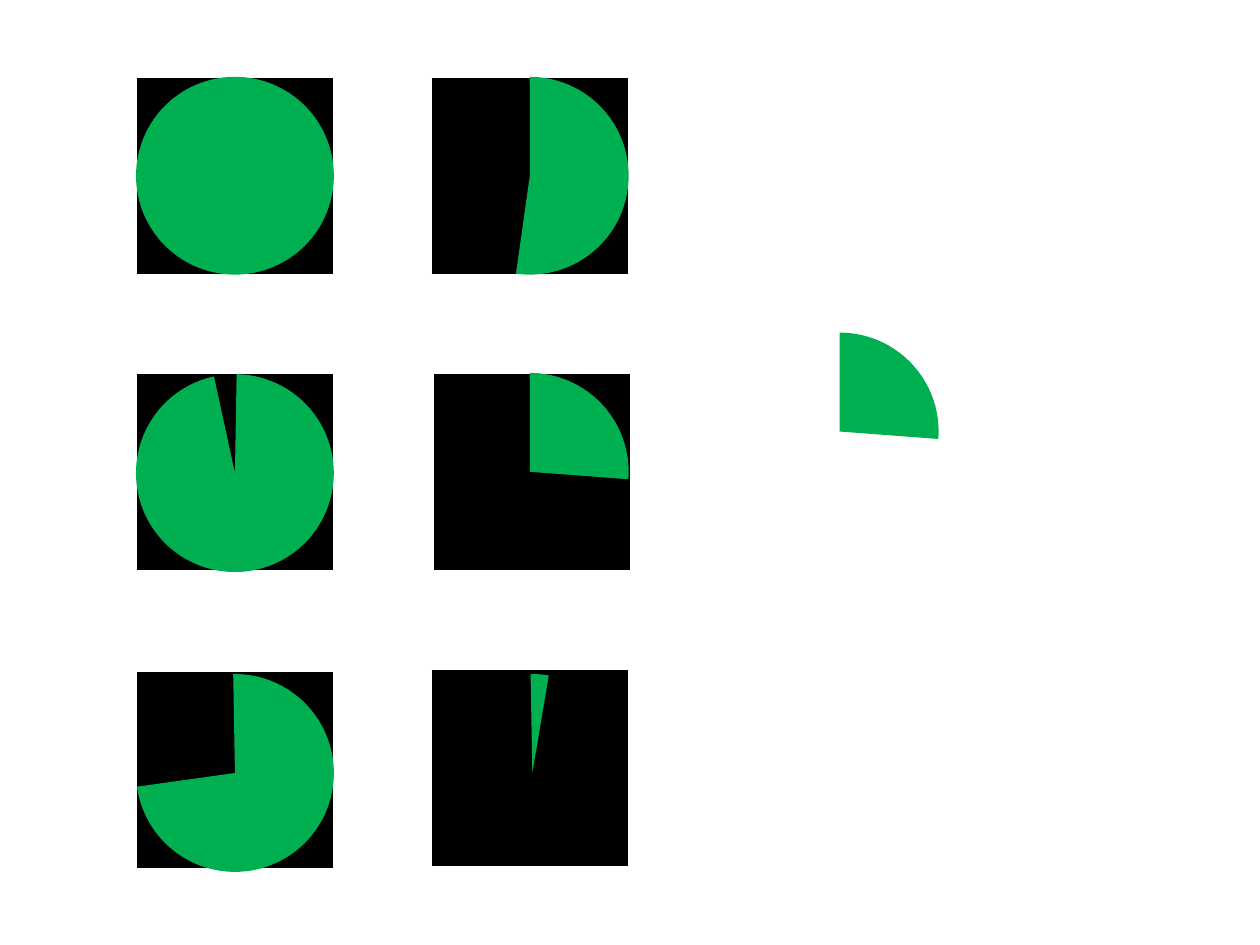
from dataclasses import dataclass

import pptx
import pptx.dml.color
import pptx.enum.shapes
import pptx.util

Inches = pptx.util.Inches
SHAPE = pptx.enum.shapes.MSO_SHAPE


@dataclass(frozen=True)
class Theme:
    tile: str = "000000"
    outline: str = "FFFFFF"
    wedge: str = "00B050"
    outline_width: float = 1
    size: float = 1.57


THEME = Theme()

# tile corner, dial corner, start and end angle
GROUPED_DIALS = [
    ((1.08, 0.61), (1.08, 0.61), None),
    ((1.08, 2.96), (1.08, 2.97), (271, 257.8)),
    ((1.08, 5.33), (1.08, 5.35), (269, 172)),
]
LOOSE_DIALS = [
    ((3.42, 0.61), (3.42, 0.61), (270, 98)),
    ((3.44, 2.96), (3.42, 2.96), (270, 4.3)),
    ((3.42, 5.31), (3.44, 5.35), (269, 279.6)),
]
LONE_QUARTER = ((5.88, 2.64), (270, 4.3))


def add_square_shape(shapes, kind, corner, fill):
    """Add a shape of the common width and height, without outline."""
    x, y = corner
    size = Inches(THEME.size)
    sp = shapes.add_shape(kind, Inches(x), Inches(y), size, size)
    sp.shadow.inherit = False
    sp.fill.solid()
    sp.fill.fore_color.rgb = pptx.dml.color.RGBColor.from_string(fill)
    sp.line.fill.background()
    return sp


def add_tile(shapes, corner):
    sp = add_square_shape(shapes, SHAPE.RECTANGLE, corner, THEME.tile)
    sp.line.color.rgb = pptx.dml.color.RGBColor.from_string(THEME.outline)
    sp.line.width = pptx.util.Pt(THEME.outline_width)


def add_wedge(shapes, corner, angles):
    """Add a pie running clockwise between angles measured from 3 o'clock.

    Without angles, add a full disc.
    """
    kind = SHAPE.PIE if angles else SHAPE.OVAL
    sp = add_square_shape(shapes, kind, corner, THEME.wedge)
    for i, angle in enumerate(angles or ()):
        sp.adjustments[i] = angle * 0.6  # 60000 units a degree, over 100000


def add_dial(shapes, tile_corner, wedge_corner, angles):
    add_tile(shapes, tile_corner)
    add_wedge(shapes, wedge_corner, angles)


def main():
    prs = pptx.Presentation()
    prs.slide_width, prs.slide_height = Inches(10), Inches(7.5)
    s = prs.slides.add_slide(prs.slide_layouts[6])
    for dial in LOOSE_DIALS:
        add_dial(s.shapes, *dial)
    for dial in GROUPED_DIALS:
        add_dial(s.shapes.add_group_shape().shapes, *dial)
    add_wedge(s.shapes, *LONE_QUARTER)
    prs.save("out.pptx")


if __name__ == "__main__":
    main()
